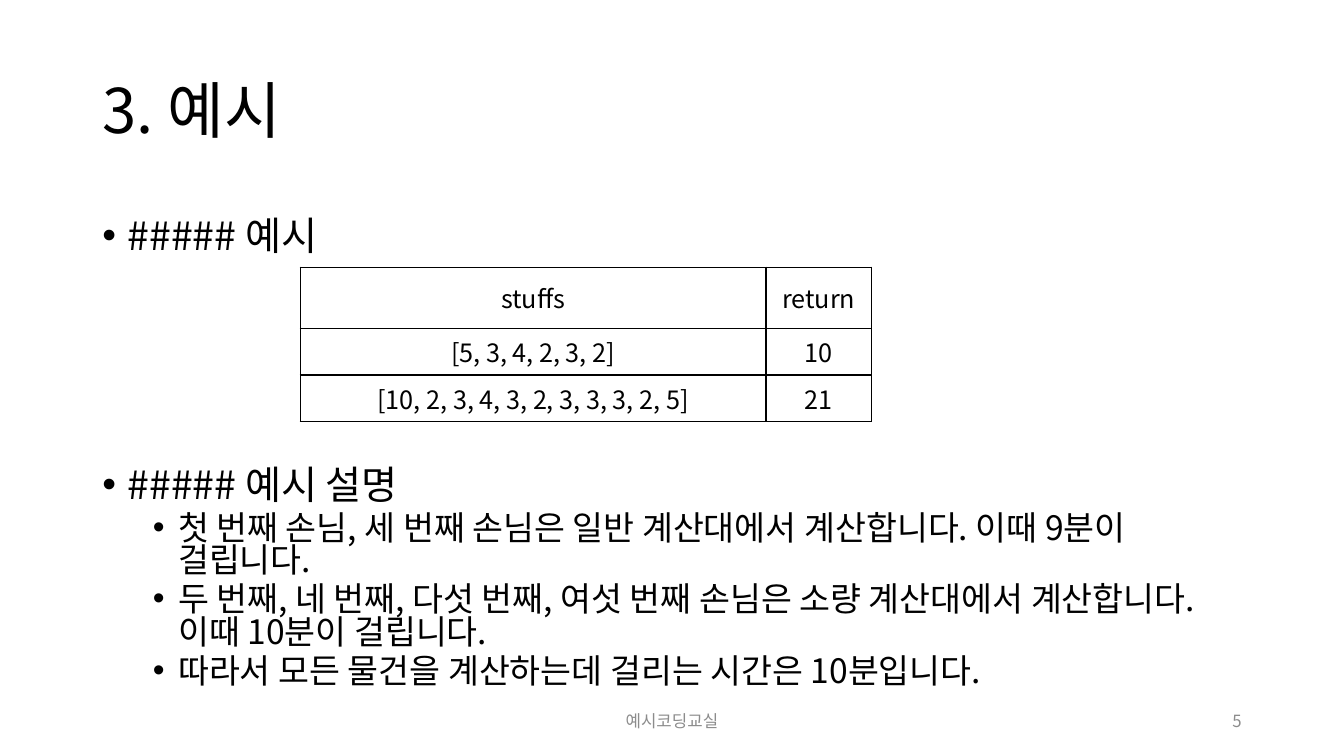
from lxml.etree import SubElement
from pptx import Presentation
from pptx.dml.color import RGBColor
from pptx.enum.text import MSO_ANCHOR, MSO_AUTO_SIZE, PP_ALIGN
from pptx.oxml import parse_xml
from pptx.oxml.ns import nsdecls, qn
from pptx.util import Inches, Pt

FONT = "Noto Sans CJK KR"
BLACK = RGBColor(0, 0, 0)
GRAY = RGBColor(0x8C, 0x8C, 0x8C)
COLS, ROWS = 160, 90
LEFT, WIDTH = 11, 138


def write(p, text, size=18, color=BLACK, align=PP_ALIGN.LEFT, spacing=None, before=None):
    """Put one formatted run of text in a paragraph."""
    p.alignment, p.line_spacing = align, spacing
    if before is not None:
        p.space_before = Pt(before)
    r = p.add_run()
    r.text = text
    r.font.name, r.font.size = FONT, Pt(size)
    r.font.color.rgb = color
    rPr = r.font._element
    rPr.set("kern", "0")
    SubElement(rPr, qn("a:ea")).set("typeface", FONT)


class Deck:
    """Hold the grid and the current slide, and add elements to it."""

    def __init__(self, prs):
        """Set the slide size and open a title-and-content slide."""
        prs.slide_width, prs.slide_height = Inches(13.33), Inches(7.5)
        self.dx, self.dy = prs.slide_width / COLS, prs.slide_height / ROWS
        self.s = prs.slides.add_slide(prs.slide_layouts[1])

    def box(self, x, y, w, h):
        """Turn grid columns and rows into slide lengths."""
        return [int(v) for v in (x * self.dx, y * self.dy, w * self.dx, h * self.dy)]

    def place(self, sp, area, anchor):
        """Move a text shape and return its wrapping text frame."""
        sp.left, sp.top, sp.width, sp.height = self.box(*area)
        tf = sp.text_frame
        tf.word_wrap, tf.auto_size, tf.vertical_anchor = True, MSO_AUTO_SIZE.NONE, anchor
        return tf

    def title(self, text, area):
        """Fill the title placeholder."""
        tf = self.place(self.s.shapes.title, area, MSO_ANCHOR.MIDDLE)
        write(tf.paragraphs[0], text, size=44, spacing=0.9)

    def bullets(self, items, area):
        """Fill the body placeholder with (level, text, spacing, before) items."""
        tf = self.place(self.s.placeholders[1], area, MSO_ANCHOR.TOP)
        for i, (level, text, spacing, before) in enumerate(items):
            p = tf.add_paragraph() if i else tf.paragraphs[0]
            p.level = level
            write(p, text, size=28 - 4 * level, spacing=spacing, before=before)
            pPr = p._p.get_or_add_pPr()
            pPr.set("marL", str(Inches(0.25 + 0.5 * level)))
            pPr.set("indent", str(Inches(-0.25)))
            SubElement(pPr, qn("a:buFont")).set("typeface", "Arial")
            SubElement(pPr, qn("a:buChar")).set("char", "•")

    def table(self, data, area, widths, heights):
        """Add a plain table with thin black borders."""
        tbl = self.s.shapes.add_table(len(data), len(widths), *self.box(*area)).table
        for col, w in zip(tbl.columns, widths):
            col.width = int(w * self.dx)
        for row, h, texts in zip(tbl.rows, heights, data):
            row.height = int(h * self.dy)
            for cell, text in zip(row.cells, texts):
                cell.fill.background()
                cell.vertical_anchor = MSO_ANCHOR.MIDDLE
                write(cell.text_frame.paragraphs[0], text, align=PP_ALIGN.CENTER)
                self.borders(cell)

    def borders(self, cell):
        """Draw the four sides of a cell."""
        tcPr = cell._tc.get_or_add_tcPr()
        for i, side in enumerate(("lnL", "lnR", "lnT", "lnB")):
            tcPr.insert(i, parse_xml(
                f'<a:{side} {nsdecls("a")} w="{Pt(1)}"><a:solidFill>'
                f'<a:srgbClr val="{BLACK}"/></a:solidFill></a:{side}>'))

    def footer(self, text, area, align):
        """Add small gray text at the foot of the slide."""
        sp = self.s.shapes.add_textbox(*self.box(*area))
        tf = self.place(sp, area, MSO_ANCHOR.MIDDLE)
        write(tf.paragraphs[0], text, size=12, color=GRAY, align=align)


prs = Presentation()
deck = Deck(prs)
deck.title("3. 예시", (LEFT, 4.8, WIDTH, 17.4))
deck.bullets([
    (0, "##### 예시", 1.1, 10),
    (0, "##### 예시 설명", 0.8, 151),
    (1, "첫 번째 손님, 세 번째 손님은 일반 계산대에서 계산합니다. 이때 9분이 걸립니다.", 0.8, 5),
    (1, "두 번째, 네 번째, 다섯 번째, 여섯 번째 손님은 소량 계산대에서 계산합니다. "
        "이때 10분이 걸립니다.", 0.8, 5),
    (1, "따라서 모든 물건을 계산하는데 걸리는 시간은 10분입니다.", 0.8, 5),
], (LEFT, 24, WIDTH - 2, 61.2))
deck.table([
    ("stuffs", "return"),
    ("[5, 3, 4, 2, 3, 2]", "10"),
    ("[10, 2, 3, 4, 3, 2, 3, 3, 3, 2, 5]", "21"),
], (35.75, 31.8, 68, 16.9), widths=(55.45, 12.55), heights=(7.3, 4.8, 4.8))
deck.footer("예시코딩교실", (53, 83.4, 54, 4.8), PP_ALIGN.CENTER)
deck.footer("5", (113, 83.4, 36, 4.8), PP_ALIGN.RIGHT)
prs.save("out.pptx")
